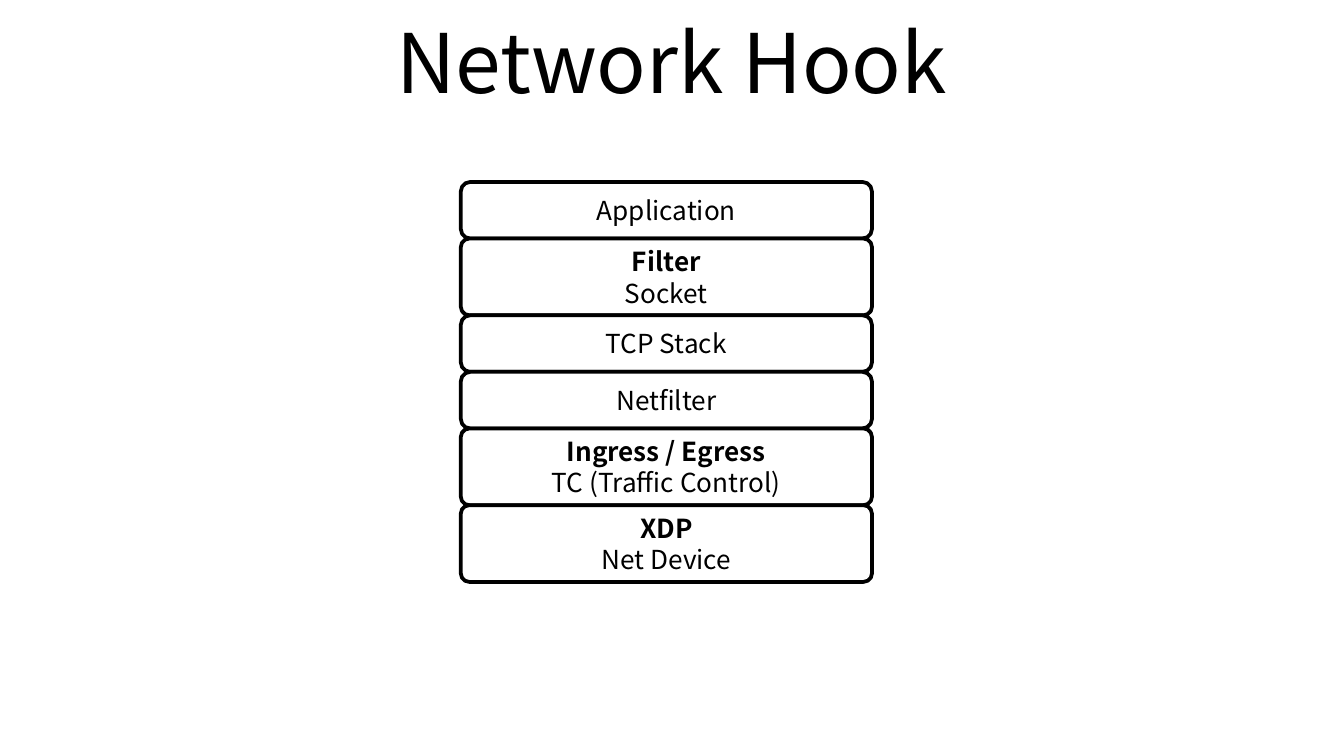
import pptx
import pptx.util
import pptx.dml.color
import pptx.enum.shapes
import pptx.enum.text

Cm, Pt = pptx.util.Cm, pptx.util.Pt
FONT = "Noto Sans CJK KR"
COLORS = {"ink": "000000", "paper": "FFFFFF"}


def color(name):
    return pptx.dml.color.RGBColor.from_string(COLORS[name])


def write(frame, lines, size):
    """Fill a frame with centred lines, given as (text, bold) pairs."""
    frame.word_wrap = True
    frame.vertical_anchor = pptx.enum.text.MSO_ANCHOR.MIDDLE
    for i, (text, bold) in enumerate(lines):
        para = frame.add_paragraph() if i else frame.paragraphs[0]
        para.alignment = pptx.enum.text.PP_ALIGN.CENTER
        run = para.add_run()
        run.text = text
        run.font.name = FONT
        run.font.size = Pt(size)
        run.font.bold = bold
        run.font.color.rgb = color("ink")


deck = pptx.Presentation()
deck.slide_width, deck.slide_height = Cm(25.4), Cm(14.29)
slide = deck.slides.add_slide(deck.slide_layouts[6])

title = slide.shapes.add_textbox(Cm(1.27), Cm(-0.05), Cm(22.86), Cm(2.39))
write(title.text_frame, [("Network Hook", False)], 44)

# Each layer: hook name (if any), layer name
layers = [
    ("", "Application"),
    ("Filter", "Socket"),
    ("", "TCP Stack"),
    ("", "Netfilter"),
    ("Ingress / Egress", "TC (Traffic Control)"),
    ("XDP", "Net Device"),
]
top = 3.44
for hook, layer in layers:
    high = 1.45 if hook else 1.07
    box = slide.shapes.add_shape(
        pptx.enum.shapes.MSO_SHAPE.ROUNDED_RECTANGLE,
        Cm(8.71), Cm(top), Cm(7.77), Cm(high))
    box.shadow.inherit = False
    if hook:
        box.adjustments[0] = 0.11
    box.fill.solid()
    box.fill.fore_color.rgb = color("paper")
    box.line.color.rgb = color("ink")
    box.line.width = Pt(2)
    lines = [(hook, True)] if hook else []
    write(box.text_frame, lines + [(layer, False)], 14)
    top += high

deck.save("out.pptx")
